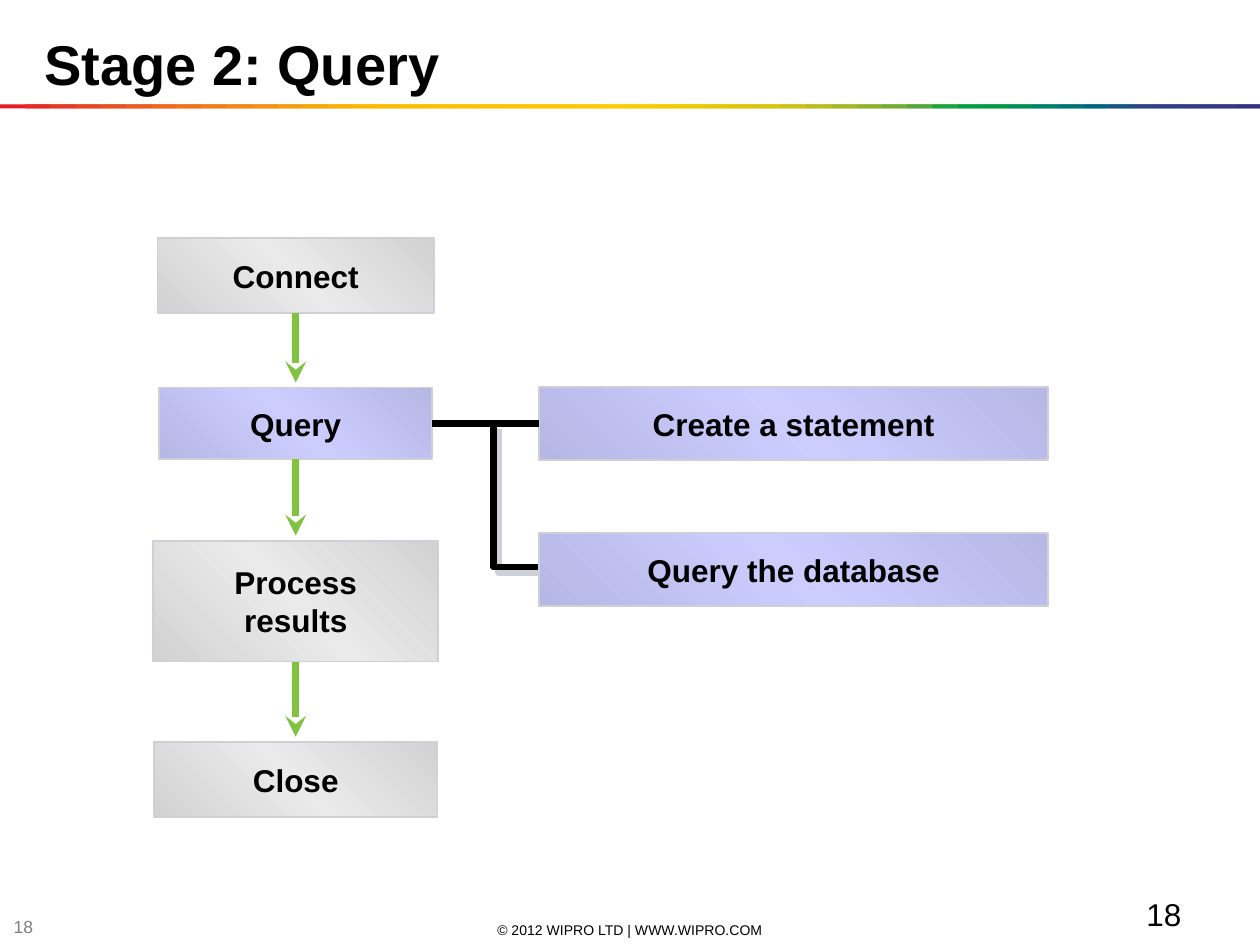
from copy import deepcopy

from lxml.etree import SubElement
from pptx import Presentation
from pptx.dml.color import RGBColor
from pptx.enum.shapes import MSO_CONNECTOR as Link, MSO_SHAPE as Kind
from pptx.enum.text import MSO_ANCHOR as Anchor, PP_ALIGN as Align
from pptx.oxml.ns import qn
from pptx.util import Pt

BLACK, GREEN, EDGE = "000000", "81C240", "CFD0D7"
GREY = ("D2D2D2", "EAEAEA", "D2D2D2")
BLUE = ("B7B7E5", "CCCCFF", "B7B7E5")
MID = 169
RAINBOW = """
E31E24 E42C24 E53A24 E74623 E85122 EA5D21 EC691F EE741D EF7E1A F18817
F39314 F49C0F F6A607 F8B002 FBBA00 FBBB00 FBBD00 FCBF00 FCC000 FCC200
FDC400 FDC600 FDC700 FEC900 FECB00 FBCB00 F3CA00 ECC800 E4C602 DCC50A
D5C30E CCC117 B8BC21 A3B829 8CB230 71AD36 51A73B 1DA240 009D43 009846
008C57 008068 007275 00637F 185384 2E4285 313E85 333B85 353885 393185
""".split()


def paint(color):
    """Turn a hex string into a colour."""
    return RGBColor.from_string(color)


def write(shape, text, size, color=BLACK, bold=False, align=Align.LEFT, anchor=Anchor.MIDDLE):
    """Put one formatted paragraph into a shape."""
    frame = shape.text_frame
    frame.word_wrap = True
    frame.vertical_anchor = anchor
    para = frame.paragraphs[0]
    para.text = text
    para.alignment = align
    for run in para.runs:
        font = run.font
        font.name, font.size, font.bold = "Arial", Pt(size), bold
        font.color.rgb = paint(color)


def add_title(slide, text):
    """Move and fill the title placeholder."""
    title = slide.shapes.title
    title.left, title.top, title.width, title.height = Pt(18), Pt(0), Pt(702), Pt(72)
    write(title, text, 32, bold=True)


def add_text(slide, at, text, size, **style):
    """Add a text box."""
    write(slide.shapes.add_textbox(*map(Pt, at)), text, size, **style)


def add_strip(slide):
    """Draw the rainbow rule as a group of bars."""
    group = slide.shapes.add_group_shape()
    step = 720 / len(RAINBOW)
    for i, color in enumerate(RAINBOW):
        left = i * step
        wide = min(2 * step, 720 - left)
        bar = group.shapes.add_shape(Kind.RECTANGLE, Pt(left), Pt(59.6), Pt(wide), Pt(2.3))
        bar.shadow.inherit = False
        bar.fill.solid()
        bar.fill.fore_color.rgb = paint(color)
        bar.line.fill.background()


def add_box(slide, at, text, colors):
    """Add a labelled box with a slanted gradient."""
    box = slide.shapes.add_shape(Kind.RECTANGLE, *map(Pt, at))
    box.shadow.inherit = False
    box.fill.gradient()
    box.fill.gradient_angle = 45
    stops = box._element.spPr.find(".//" + qn("a:gsLst"))
    stops.append(deepcopy(stops[0]))
    for i, stop in enumerate(box.fill.gradient_stops):
        stop.position = i / 2
        stop.color.rgb = paint(colors[i])
    box.line.color.rgb = paint(EDGE)
    box.line.width = Pt(1)
    write(box, text, 18, bold=True, align=Align.CENTER)
    return box


def add_link(slide, start, site, end, color):
    """Add a thick line from a box side to a point."""
    link = slide.shapes.add_connector(Link.STRAIGHT, 0, 0, *end)
    link.begin_connect(start, site)
    link.line.color.rgb = paint(color)
    link.line.width = Pt(4)
    SubElement(link._element.spPr, qn("a:effectLst"))
    return link


def add_arrow(slide, upper, lower):
    """Point down from one box to just above the next."""
    link = add_link(slide, upper, 2, (Pt(MID), lower.top - Pt(3)), GREEN)
    SubElement(link.line._get_or_add_ln(), qn("a:tailEnd"), type="stealth")


def add_branch(slide):
    """Draw the shadowed elbow to the lower step."""
    pen = slide.shapes.build_freeform(Pt(282), Pt(242))
    pen.add_line_segments([(Pt(282), Pt(324)), (Pt(324), Pt(324))], close=False)
    elbow = pen.convert_to_shape()
    elbow.fill.background()
    elbow.line.color.rgb = paint(BLACK)
    elbow.line.width = Pt(4)
    elbow.shadow.inherit = False
    effects = elbow._element.spPr.find(qn("a:effectLst"))
    shade = SubElement(effects, qn("a:outerShdw"), dist=str(Pt(4.2)), dir="2700000")
    SubElement(shade, qn("a:srgbClr"), val=EDGE)


def main():
    """Build and save the slide."""
    deck = Presentation()
    deck.slide_width, deck.slide_height = Pt(720), Pt(540)
    slide = deck.slides.add_slide(deck.slide_layouts[5])
    add_title(slide, "Stage 2: Query")
    add_strip(slide)
    add_branch(slide)

    stages = [
        ("Connect", 136, 158, 43, GREY),
        ("Query", 221.5, 156, 41, BLUE),
        ("Process\nresults", 309, 163, 69, GREY),
        ("Close", 424, 162, 43, GREY),
    ]
    boxes = [
        add_box(slide, (MID - wide / 2, top, wide, high), text, colors)
        for text, top, wide, high, colors in stages
    ]
    for upper, lower in zip(boxes, boxes[1:]):
        add_arrow(slide, upper, lower)

    steps = [
        add_box(slide, (308, top, 291, 42), text, BLUE)
        for text, top in (("Create a statement", 221), ("Query the database", 304.5))
    ]
    link = add_link(slide, boxes[1], 3, (Pt(308), Pt(242)), BLACK)
    link.end_connect(steps[0], 1)

    add_text(slide, (246, 525.5, 228, 12), "© 2012 WIPRO LTD | WWW.WIPRO.COM", 8, align=Align.CENTER)
    add_text(slide, (0.7, 523.5, 28, 12), "18", 10, color="7F7F7F")
    add_text(slide, (648, 508, 69, 25), "18", 18, anchor=Anchor.TOP)
    deck.save("out.pptx")


if __name__ == "__main__":
    main()
